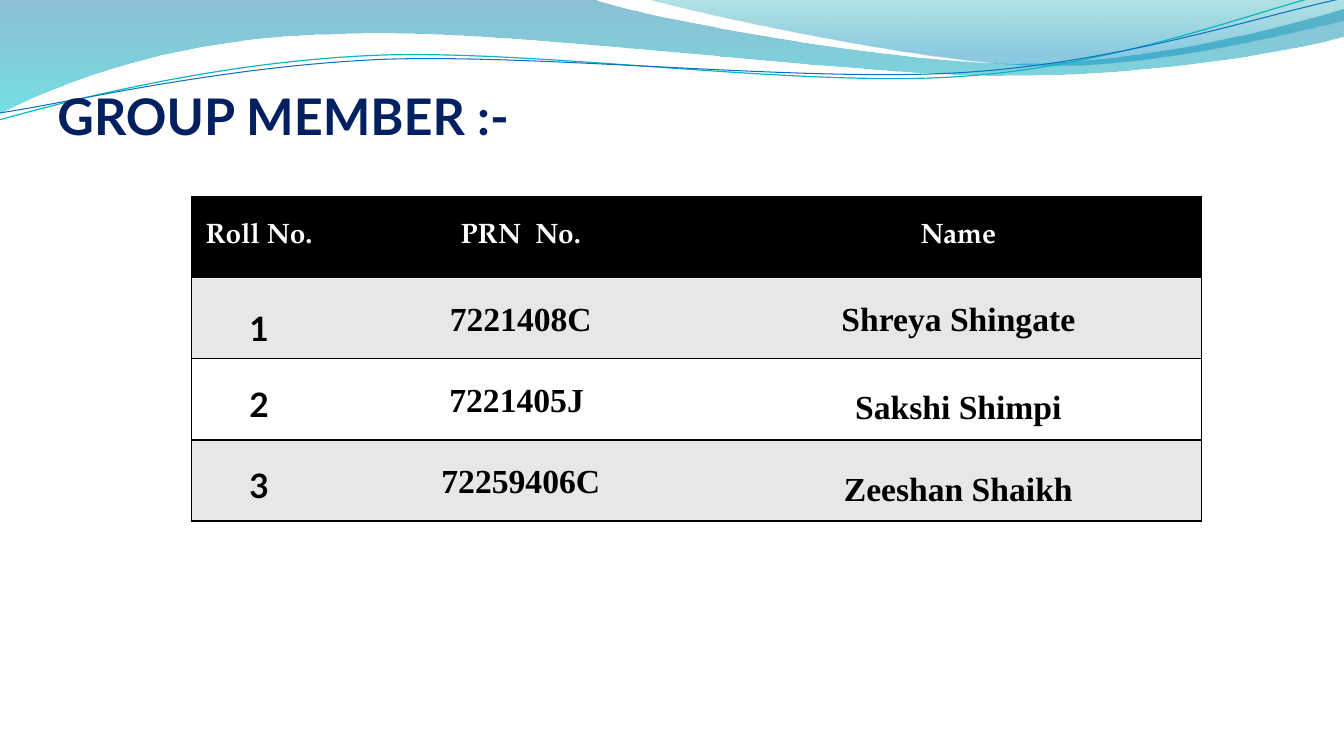
from lxml import etree
from pptx import Presentation
from pptx.dml.color import RGBColor
from pptx.enum import text
from pptx.oxml import ns
from pptx.util import Inches, Pt


def paint(color, hex_value):
    color.rgb = RGBColor.from_string(hex_value)


def draw_curve(page, start, segments, close):
    """Freeform of straight (2 numbers) and cubic (6 numbers) segments, in inches."""
    builder = page.shapes.build_freeform(Inches(start[0]), Inches(start[1]), scale=1.0)
    builder.add_line_segments([(Inches(s[-2]), Inches(s[-1])) for s in segments], close=close)
    shape = builder.convert_to_shape()
    shape.shadow.inherit = False
    sides = list(shape._element.spPr.iter(ns.qn("a:lnTo")))
    for side, segment in zip(sides, segments):
        if len(segment) == 6:
            side.tag = ns.qn("a:cubicBezTo")
            handles = zip(segment[0:4:2], segment[1:4:2])
            for place, (x, y) in enumerate(handles):
                handle = etree.Element(ns.qn("a:pt"), x=str(Inches(x) - shape.left),
                                       y=str(Inches(y) - shape.top))
                side.insert(place, handle)
    return shape


deck = Presentation()
deck.slide_width, deck.slide_height = Inches(13.33), Inches(7.5)
page = deck.slides.add_slide(deck.slide_layouts[5])

# Translucent gradient bands: start, segments, (position, colour, opacity %) stops
bands = [
    ((-0.01, 0),
     [(5.87, -0.01), (6.34, 0.17, 8.85, 0.63, 10.11, 0.63),
      (11.38, 0.63, 12.78, 0.26, 13.33, 0.09), (13.35, 0.36),
      (13.11, 0.44, 11.6, 0.76, 9.94, 0.75), (8.29, 0.75, 5.09, 0.28, 3.43, 0.34),
      (1.72, 0.36, 0.61, 0.83, -0.01, 1.13)],
     [(0, "0074A1", 45), (1, "00C6CF", 55)]),
    ((6.39, -0.01),
     [(6.79, 0.11, 9.09, 0.62, 10.25, 0.65),
      (11.41, 0.69, 12.82, 0.32, 13.33, 0.21), (13.33, 0)],
     [(0, "00A1A9", 30), (0.8, "008BBF", 45)]),
]
for start, segments, stops in bands:
    band = draw_curve(page, start, segments, True)
    band.line.fill.background()
    band.fill.gradient()
    band.fill.gradient_angle = 270
    for stop, (position, color, _) in zip(band.fill.gradient_stops, stops):
        stop.position = position
        paint(stop.color, color)
    for tint, (_, _, opacity) in zip(band._element.spPr.iter(ns.qn("a:srgbClr")), stops):
        etree.SubElement(tint, ns.qn("a:alpha"), val=str(opacity * 1000))

# Thin wave lines
waves = [
    ((-0.01, 1.19),
     [(0.64, 1.01, 2.11, 0.62, 3.69, 0.55), (5.27, 0.48, 7.9, 0.87, 9.5, 0.76),
      (11.1, 0.66, 12.52, 0.08, 13.31, -0.1)], "0AB8BF", 0.85),
    ((0, 1.12),
     [(0.63, 1.03, 2.18, 0.66, 3.78, 0.59), (5.37, 0.53, 7.96, 0.82, 9.55, 0.72),
      (11.15, 0.62, 12.55, 0.14, 13.34, -0.02)], "0F6FC6", 0.75),
]
for start, segments, color, width in waves:
    wave = draw_curve(page, start, segments, False)
    wave.fill.background()
    paint(wave.line.color, color)
    wave.line.width = Pt(width)

# Title, in front of the waves
title = page.shapes.title
page.shapes._spTree.append(title._element)
title.left, title.top, title.width, title.height = map(Inches, (0, 0.67, 8.7, 0.77))
frame = title.text_frame
frame.text = "GROUP MEMBER :-"
frame.vertical_anchor = text.MSO_ANCHOR.BOTTOM
frame.margin_left, frame.margin_top = Inches(0.57), Inches(0.05)
frame.margin_right = frame.margin_bottom = 0
para = frame.paragraphs[0]
para.alignment = text.PP_ALIGN.LEFT
para.font.name, para.font.size, para.font.bold = "Lato", Pt(36), True
paint(para.font.color, "002060")

# Member table
members = [
    ("Roll No.", "PRN  No.", "Name"),
    ("1", "7221408C", "Shreya Shingate"),
    ("2", "7221405J ", "Sakshi Shimpi"),
    ("3", "72259406C", "Zeeshan Shaikh"),
]
row_fills = ["000000", "E7E7E7", "FFFFFF", "E7E7E7"]
column_fonts = ["Lato", "Times New Roman", "Times New Roman"]
middle_cells = {(1, 0), (2, 2), (3, 2)}
table_height = Inches(3.22)
table = page.shapes.add_table(len(members), 3, Inches(1.9), Inches(1.95),
                              Inches(10.02), table_height).table
for column, width in zip(table.columns, (1.34, 3.85, 4.83)):
    column.width = Inches(width)
for r, row in enumerate(members):
    table.rows[r].height = table_height // len(members)
    for c, value in enumerate(row):
        cell = table.cell(r, c)
        header = r == 0
        # Rules above and below every row, sides only on the outer edge
        drawn = {"lnL": c == 0, "lnR": c == 2, "lnT": True, "lnB": True}
        for side, visible in drawn.items():
            edge = etree.SubElement(cell._tc.get_or_add_tcPr(), ns.qn("a:" + side), w="12700")
            if visible:
                ink = etree.SubElement(edge, ns.qn("a:solidFill"))
                etree.SubElement(ink, ns.qn("a:srgbClr"), val="000000")
            else:
                etree.SubElement(edge, ns.qn("a:noFill"))
        cell.fill.solid()
        paint(cell.fill.fore_color, row_fills[r])
        middle = header or (r, c) in middle_cells
        cell.vertical_anchor = text.MSO_ANCHOR.MIDDLE if middle else text.MSO_ANCHOR.TOP
        cell.text = value
        para = cell.text_frame.paragraphs[0]
        para.alignment = text.PP_ALIGN.CENTER
        para.line_spacing = 1.0 if header else 1.5
        para.font.name = "TeX Gyre Pagella" if header else column_fonts[c]
        para.font.size = Pt(20 if header else 24)
        para.font.bold = True
        paint(para.font.color, "FFFFFF" if header else "000000")

deck.save("out.pptx")
